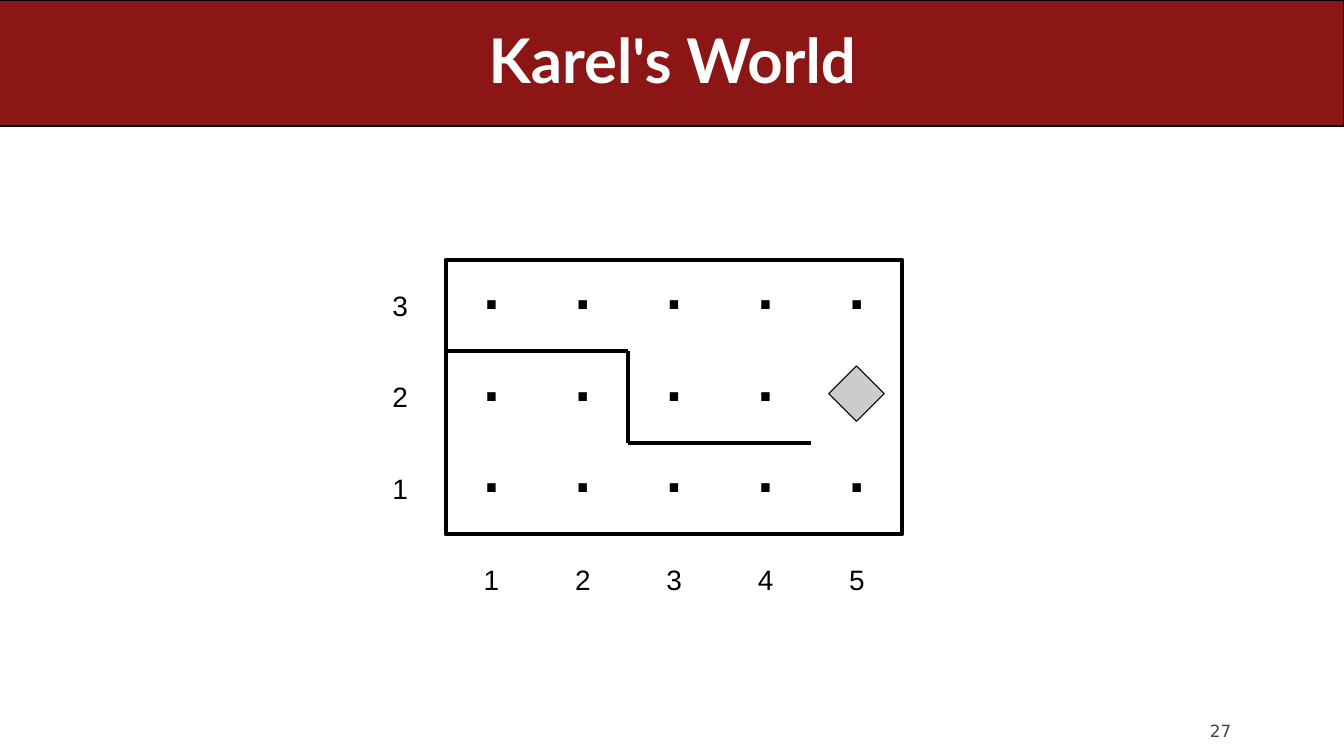
"""Draw the slide on Karel's grid world."""
from dataclasses import dataclass

from lxml.etree import SubElement
from pptx import Presentation
from pptx.dml.color import RGBColor as Rgb
from pptx.enum.shapes import MSO_CONNECTOR as Conn, MSO_SHAPE as Kind
from pptx.enum.text import MSO_ANCHOR as Anchor, PP_ALIGN as Align
from pptx.oxml.ns import qn
from pptx.util import Inches, Pt

INK = {"red": "8C1515", "black": "000000", "white": "FFFFFF",
       "gray": "CCCCCC", "dark": "424242"}
COLS, ROWS = 5, 3
LEFT, TOP, WIDE, HIGH = 4.42, 2.58, 4.53, 2.72
STEP = WIDE / COLS
RISE = HIGH / ROWS
SIDE = 0.91
WALL = 2.89


@dataclass
class Box:
    x: float
    y: float
    w: float
    h: float


@dataclass
class Style:
    size: float
    font: str
    color: str
    bold: bool = False
    align: Align = Align.CENTER
    anchor: Anchor = Anchor.MIDDLE
    space: float = 1.0
    wrap: bool = False
    pad: tuple[float, float, float, float] = (0, 0, 0, 0)
    base: int = 0


@dataclass
class Wall:
    col: int
    row: int
    to_col: int
    to_row: int


TITLE = Style(44, "Lato", "white", bold=True, space=0.9, wrap=True,
              pad=(0, 0.01, 0, 0))
PAGE = Style(12, "DejaVu Sans", "dark", align=Align.LEFT,
             anchor=Anchor.BOTTOM, wrap=True)
DOT = Style(73, "Arial", "black", bold=True, space=0.93,
            pad=(0.09, 0.11, 0.09, 0.04), base=33000)
LABEL = Style(20, "Arial", "black", space=0.93, pad=(0.09, 0.06, 0.09, 0.04))
WALLS = [Wall(2, 1, 2, 2), Wall(2, 2, 4, 2), Wall(0, 1, 2, 1)]


def spot(col: float, row: float) -> tuple[float, float]:
    """Give the grid point at a column and row."""
    return LEFT + col * STEP, TOP + row * RISE


def cell(col: int, row: int) -> Box:
    """Give the box of one grid cell."""
    return Box(*spot(col, row), SIDE, SIDE)


def rgb(name: str) -> Rgb:
    """Look up a named colour."""
    return Rgb.from_string(INK[name])


def area(box: Box) -> list[int]:
    """Turn a box into slide lengths."""
    return [Inches(n) for n in (box.x, box.y, box.w, box.h)]


def write(shape, text: str, style: Style) -> None:
    """Put styled text in a shape."""
    frame = shape.text_frame
    frame.text = text
    frame.word_wrap = style.wrap
    frame.vertical_anchor = style.anchor
    (frame.margin_left, frame.margin_top, frame.margin_right,
     frame.margin_bottom) = [Inches(n) for n in style.pad]
    line = frame.paragraphs[0]
    line.alignment = style.align
    line.line_spacing = style.space
    run = line.runs[0]
    run.font.size = Pt(style.size)
    run.font.name = style.font
    run.font.bold = style.bold
    run.font.color.rgb = rgb(style.color)
    if style.base:
        run._r.get_or_add_rPr().set("baseline", str(style.base))


def label(slide, box: Box, text: str, style: Style) -> None:
    """Add a text box."""
    write(slide.shapes.add_textbox(*area(box)), text, style)


def block(slide, kind: Kind, box: Box, fill: str = "", edge: float = 0):
    """Add a preset shape with optional fill and black edge."""
    shape = slide.shapes.add_shape(kind, *area(box))
    shape.shadow.inherit = False
    if fill:
        shape.fill.solid()
        shape.fill.fore_color.rgb = rgb(fill)
    else:
        shape.fill.background()
    if edge:
        shape.line.color.rgb = rgb("black")
        shape.line.width = Pt(edge)
    else:
        shape.line.fill.background()
    return shape


def build(slide, wall: Wall) -> None:
    """Add one inner wall."""
    ends = spot(wall.col, wall.row) + spot(wall.to_col, wall.to_row)
    line = slide.shapes.add_connector(Conn.STRAIGHT, *map(Inches, ends))
    line.line.color.rgb = rgb("black")
    line.line.width = Pt(WALL)
    SubElement(line._element.spPr, qn("a:effectLst"))


def main() -> None:
    """Make and save the slide."""
    deck = Presentation()
    deck.slide_width, deck.slide_height = Inches(13.33), Inches(7.5)
    slide = deck.slides.add_slide(deck.slide_layouts[6])

    label(slide, Box(12, 6.95, 1.11, 0.4), "27", PAGE)
    band = block(slide, Kind.ROUNDED_RECTANGLE, Box(0, 0, 13.33, 1.25),
                 "red", 0.75)
    band.adjustments[0] = 0
    label(slide, Box(2.17, 0, 9, 1.25), "Karel's World", TITLE)

    for col in range(COLS):
        for row in reversed(range(ROWS)):
            tile = block(slide, Kind.RECTANGLE, cell(col, row), "white")
            write(tile, ".", DOT)
    for row in reversed(range(ROWS)):
        label(slide, cell(-1, row), str(ROWS - row), LABEL)
    for col in range(COLS):
        label(slide, cell(col, ROWS), str(col + 1), LABEL)

    block(slide, Kind.DIAMOND, Box(8.22, 3.63, 0.55, 0.55), "gray", 0.75)
    block(slide, Kind.RECTANGLE, Box(LEFT, TOP, WIDE, HIGH), edge=WALL)
    for wall in WALLS:
        build(slide, wall)
    deck.save("out.pptx")


if __name__ == "__main__":
    main()
